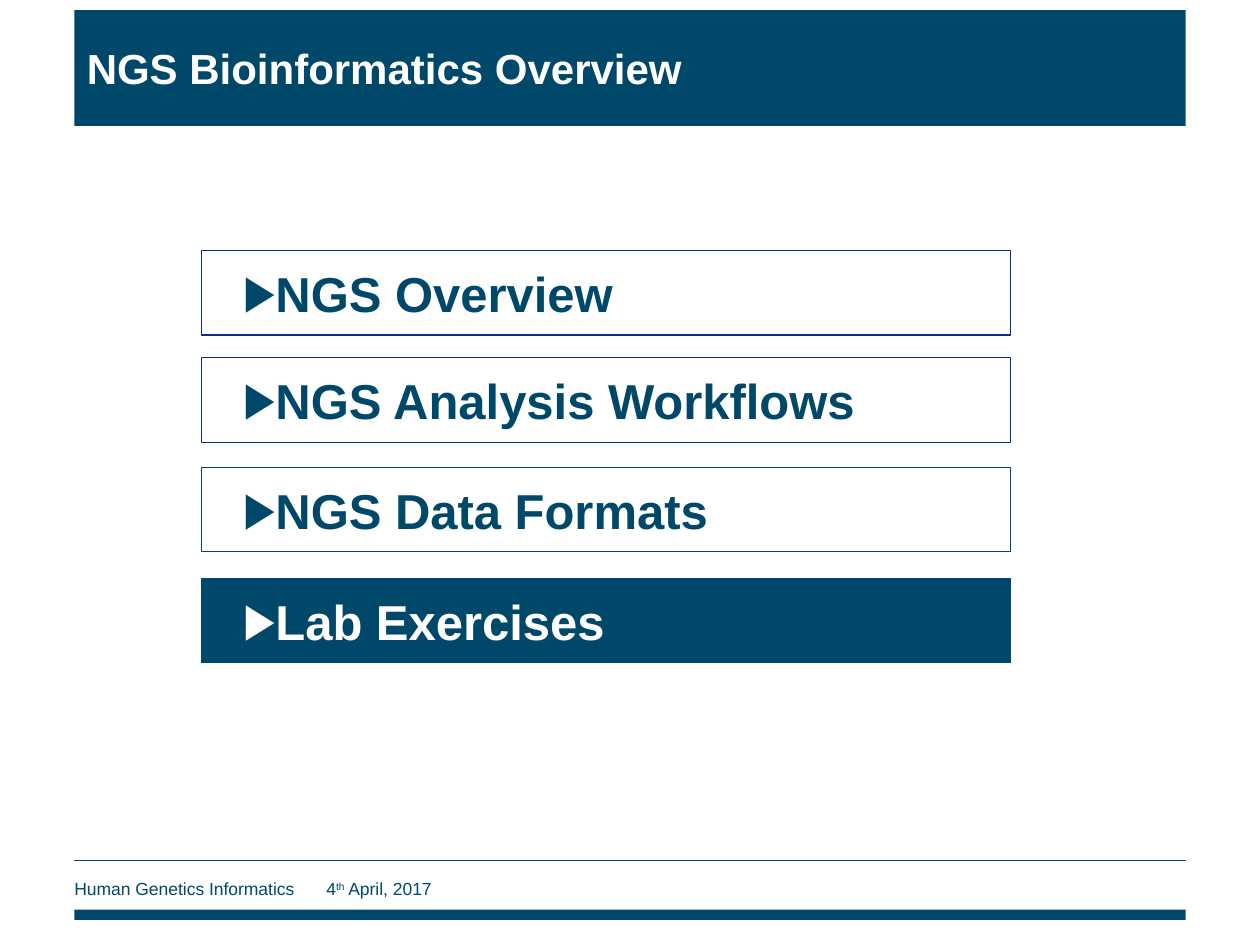
"""Build the NGS bioinformatics agenda slide."""
from typing import NamedTuple

from lxml import etree
from pptx import Presentation
from pptx import util as u
from pptx.dml.color import RGBColor
from pptx.enum import shapes, text
from pptx.oxml import ns

TEAL = RGBColor(0x00, 0x48, 0x69)
NAVY = RGBColor(0x0D, 0x2B, 0x92)
WHITE = RGBColor(0xFF, 0xFF, 0xFF)
LEFT, WIDTH = 0.59, 8.82


class Topic(NamedTuple):
    label: str
    top: float
    fill: RGBColor
    outline: RGBColor
    ink: RGBColor


TOPICS = (
    Topic("NGS Overview", 1.99, WHITE, NAVY, TEAL),
    Topic("NGS Analysis Workflows", 2.84, WHITE, NAVY, TEAL),
    Topic("NGS Data Formats", 3.71, WHITE, TEAL, TEAL),
    Topic("Lab Exercises", 4.59, TEAL, TEAL, WHITE),
)


def apply(target, values: dict) -> None:
    for name, value in values.items():
        setattr(target, name, value)


def format_font(font, size: float, ink: RGBColor, bold: bool) -> None:
    apply(font, {"name": "Arial", "size": u.Pt(size), "bold": bold})
    font.color.rgb = ink


def add_bar(slide, left: float, top: float, width: float, height: float, fill: RGBColor):
    bar = slide.shapes.add_shape(
        shapes.MSO_SHAPE.RECTANGLE, *map(u.Inches, (left, top, width, height)))
    bar.shadow.inherit = False
    bar.fill.solid()
    bar.fill.fore_color.rgb = fill
    bar.line.fill.background()
    return bar


def write_label(bar, label: str, size: float, ink: RGBColor, inset: float):
    apply(bar.text_frame, {
        "margin_left": u.Inches(inset),
        "vertical_anchor": text.MSO_ANCHOR.MIDDLE,
        "word_wrap": True,
    })
    paragraph = bar.text_frame.paragraphs[0]
    paragraph.alignment = text.PP_ALIGN.LEFT
    run = paragraph.add_run()
    run.text = label
    format_font(run.font, size, ink, True)
    return paragraph


def add_topic(slide, topic: Topic) -> None:
    bar = add_bar(slide, 1.6, topic.top, 6.42, 0.67, topic.fill)
    bar.line.color.rgb = topic.outline
    bar.line.width = u.Pt(0.75)
    paragraph = write_label(bar, topic.label, 28, topic.ink, 0.33)
    properties = paragraph._p.get_or_add_pPr()
    color = etree.SubElement(properties, ns.qn("a:buClr"))
    etree.SubElement(color, ns.qn("a:srgbClr"), val=str(topic.ink))
    etree.SubElement(properties, ns.qn("a:buFont"), typeface="Arial")
    etree.SubElement(properties, ns.qn("a:buChar"), char="▶")


def add_footer(slide) -> None:
    add_bar(slide, LEFT, 7.22, WIDTH, 0.08, TEAL)
    rule = slide.shapes.add_connector(
        shapes.MSO_CONNECTOR.STRAIGHT,
        *map(u.Inches, (LEFT, 6.83, LEFT + WIDTH, 6.83)))
    rule.line.color.rgb = TEAL
    rule.line.width = u.Pt(0.75)
    etree.SubElement(rule._element.spPr, ns.qn("a:effectLst"))

    footer = slide.shapes.add_textbox(*map(u.Inches, (LEFT, 6.92, 6.71, 0.27)))
    apply(footer.text_frame, {
        "margin_left": 0,
        "vertical_anchor": text.MSO_ANCHOR.MIDDLE,
        "word_wrap": True,
    })
    paragraph = footer.text_frame.paragraphs[0]
    for wording, baseline in (
            ("Human Genetics Informatics\t4", 0), ("th", 30000), (" April, 2017", 0)):
        run = paragraph.add_run()
        run.text = wording
        format_font(run.font, 10, TEAL, False)
        if baseline:
            run._r.get_or_add_rPr().set("baseline", str(baseline))


def main() -> None:
    deck = Presentation()
    apply(deck, {"slide_width": u.Inches(10), "slide_height": u.Inches(7.5)})
    slide = deck.slides.add_slide(deck.slide_layouts[6])
    add_footer(slide)
    title = add_bar(slide, LEFT, 0.08, WIDTH, 0.92, TEAL)
    write_label(title, "NGS Bioinformatics Overview", 24, WHITE, 0.1)
    for topic in TOPICS:
        add_topic(slide, topic)
    deck.save("out.pptx")


if __name__ == "__main__":
    main()
